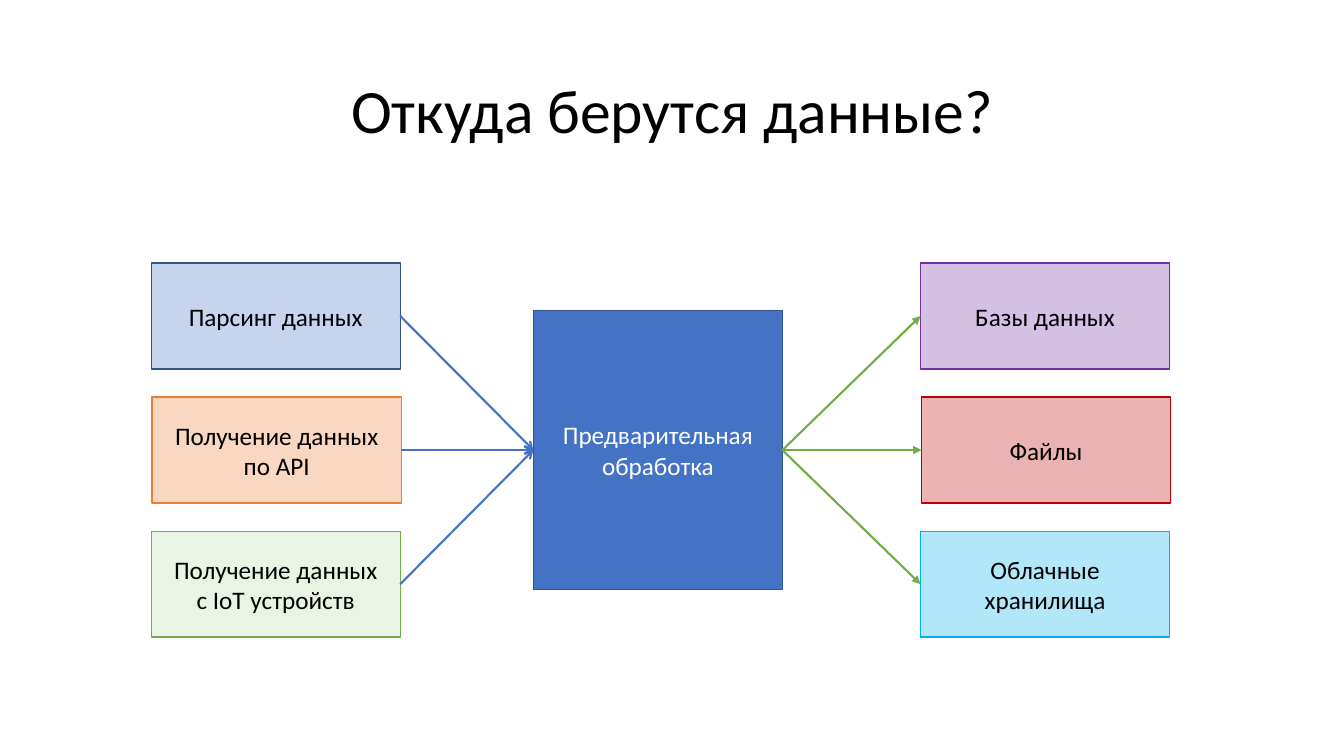
from lxml.etree import SubElement
from pptx import Presentation
from pptx.dml.color import RGBColor
from pptx.enum.shapes import MSO_CONNECTOR, MSO_SHAPE
from pptx.enum.text import MSO_ANCHOR, PP_ALIGN
from pptx.oxml.ns import qn
from pptx.util import Inches, Pt

TITLE = "Откуда берутся данные?"
SOURCES = [
    ("Парсинг данных", "4472C4", 30, "325491"),
    ("Получение данных\vпо API", "ED7D31", 30, "ED7D31"),
    ("Получение данных\vс IoT устройств", "E2F0D9", 70, "70AD47"),
]
PROCESSING = ("Предварительная обработка", "4472C4", 100, "325491")
STORAGES = [
    ("Базы данных", "7030A0", 30, "7030A0"),
    ("Файлы", "C00000", 30, "C00000"),
    ("Облачные\vхранилища", "00B0F0", 30, "00B0F0"),
]

BOX_WIDTH, BOX_HEIGHT = 2.47, 1.05
FIRST_TOP, ROW_STEP = 2.61, 1.33
ROW_SHIFTS = (0, 0.01, 0)
SOURCE_LEFT, STORAGE_LEFT = 1.5, 9.13
TOP, LEFT, BOTTOM, RIGHT = range(4)


def color(value):
    return RGBColor.from_string(value)


def format_text(frame, text, size, text_color):
    frame.text = text
    frame.word_wrap = True
    frame.vertical_anchor = MSO_ANCHOR.MIDDLE
    para = frame.paragraphs[0]
    para.alignment = PP_ALIGN.CENTER
    para.font.name = "Calibri"
    para.font.size = Pt(size)
    para.font.color.rgb = color(text_color)
    return para


def add_box(left, top, height, content, text_color="000000"):
    text, fill, opacity, outline = content
    box = slide.shapes.add_shape(
        MSO_SHAPE.RECTANGLE, Inches(left), Inches(top), Inches(BOX_WIDTH), Inches(height)
    )
    box.shadow.inherit = False
    box.fill.solid()
    box.fill.fore_color.rgb = color(fill)
    if opacity < 100:
        fill_color = box.fill._xPr.find(qn("a:solidFill"))[0]
        SubElement(fill_color, qn("a:alpha"), val=str(opacity * 1000))
    box.line.color.rgb = color(outline)
    box.line.width = Pt(1)
    format_text(box.text_frame, text, 18, text_color)
    return box


def add_column(left, contents):
    return [
        add_box(left + shift, FIRST_TOP + row * ROW_STEP, BOX_HEIGHT, content)
        for row, (shift, content) in enumerate(zip(ROW_SHIFTS, contents))
    ]


def add_arrow(start, end, line_color, head):
    arrow = slide.shapes.add_connector(MSO_CONNECTOR.STRAIGHT, 0, 0, 0, 0)
    arrow.begin_connect(start, RIGHT)
    arrow.end_connect(end, LEFT)
    arrow.line.color.rgb = color(line_color)
    arrow.line.width = Pt(1.5)
    SubElement(arrow.line._get_or_add_ln(), qn("a:tailEnd"), type=head)
    SubElement(arrow._element.spPr, qn("a:effectLst"))


deck = Presentation()
deck.slide_width, deck.slide_height = Inches(13.33), Inches(7.5)
slide = deck.slides.add_slide(deck.slide_layouts[5])

title = slide.shapes.title
title.left, title.top = Inches(0.92), Inches(0.4)
title.width, title.height = Inches(11.5), Inches(1.45)
format_text(title.text_frame, TITLE, 44, "000000").line_spacing = 0.9

sources = add_column(SOURCE_LEFT, SOURCES)
processing = add_box(5.29, 3.08, 2.77, PROCESSING, "FFFFFF")
storages = add_column(STORAGE_LEFT, STORAGES)

for source in sources:
    add_arrow(source, processing, "4472C4", "arrow")
for storage in storages:
    add_arrow(processing, storage, "70AD47", "triangle")

deck.save("out.pptx")
